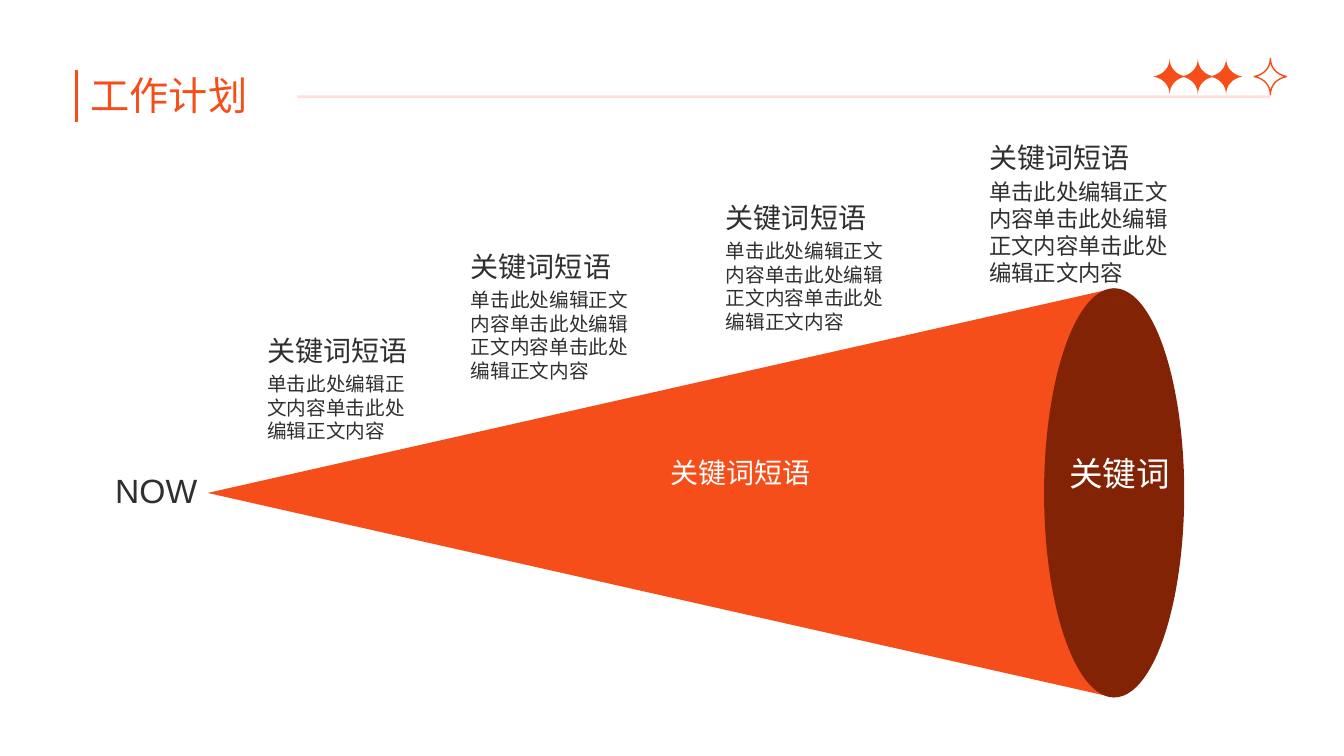
from lxml import etree
from pptx import Presentation
from pptx.dml.color import RGBColor
from pptx.enum.shapes import MSO_CONNECTOR as Connector, MSO_SHAPE as Shape
from pptx.enum.text import MSO_AUTO_SIZE as AutoSize, PP_ALIGN as Align
from pptx.oxml.ns import qn
from pptx.util import Inches, Pt

ORANGE, BROWN, DARK, WHITE = "F54E1A", "822306", "2F2F2F", "FFFFFF"
FONT = "Arial"
PHRASE = "关键词短语"
BODY = "单击此处编辑正文内容"
MILESTONES = [
    (2.65, 3.31, 1.39, 2, 14),
    (4.67, 2.48, 1.56, 3, 14),
    (7.2, 1.99, 1.56, 3, 14),
    (9.81, 1.39, 1.86, 3, 16),
]


def color(value):
    """Turn a hex string into a colour."""
    return RGBColor.from_string(value)


def paint(shape, fill, line=None):
    """Fill a shape and outline it only when a line colour is given."""
    shape.shadow.inherit = False
    shape.fill.solid()
    shape.fill.fore_color.rgb = color(fill)
    if line:
        shape.line.color.rgb = color(line)
        shape.line.width = Pt(1)
    else:
        shape.line.fill.background()


def add_text(slide, box, text, size, ink=DARK, align=Align.LEFT, wrap=True, spacing=None):
    """Add a text box without insets."""
    frame = slide.shapes.add_textbox(*map(Inches, box)).text_frame
    frame.margin_left = frame.margin_right = frame.margin_top = frame.margin_bottom = 0
    frame.word_wrap = wrap
    frame.auto_size = AutoSize.SHAPE_TO_FIT_TEXT
    frame.text = text
    paragraph = frame.paragraphs[0]
    paragraph.alignment = align
    if spacing:
        paragraph.line_spacing = spacing
    font = paragraph.runs[0].font
    font.size, font.name = Pt(size), FONT
    font.color.rgb = color(ink)


def add_line(slide, start, end, width, opacity=100):
    """Draw an orange line with the given opacity in percent."""
    line = slide.shapes.add_connector(Connector.STRAIGHT, *map(Inches, start + end))
    line.line.color.rgb = color(ORANGE)
    line.line.width = Pt(width)
    properties = line._element.spPr
    if opacity < 100:
        tint = properties.find(".//" + qn("a:srgbClr"))
        etree.SubElement(tint, qn("a:alpha")).set("val", str(opacity * 1000))
    etree.SubElement(properties, qn("a:effectLst"))


def curve_segments(shape):
    """Join every three straight segments of an outline into one curve."""
    segments = list(shape._element.iter(qn("a:lnTo")))
    for first in range(0, len(segments), 3):
        curve = etree.Element(qn("a:cubicBezTo"))
        segments[first].addprevious(curve)
        for segment in segments[first:first + 3]:
            curve.append(segment[0])
            segment.getparent().remove(segment)


def add_star(slide, center_x, center_y, fill, line=None):
    """Draw an upright four-pointed star with concave sides around a centre."""
    quarter = [(0.18, 0), (0.09, 0), (0.02, 0.06), (0, 0.16)]
    points = []
    for sign_x, sign_y in [(1, 1), (-1, 1), (-1, -1), (1, -1)]:
        side = quarter if sign_x == sign_y else quarter[::-1]
        points += [(Inches(center_x + sign_x * x), Inches(center_y + sign_y * y))
                   for x, y in side[1:]]
    builder = slide.shapes.build_freeform(*points[-1])
    builder.add_line_segments(points, close=True)
    star = builder.convert_to_shape()
    curve_segments(star)
    star.rotation = 90
    paint(star, fill, line)


def add_header(slide, left, top):
    """Place the title, its rules and the row of stars."""
    add_text(slide, (left + 0.14, top + 0.07, 2.74, 0.43), "工作计划", 28, ORANGE, spacing=0.9)
    star_y = top + 0.07
    for index in range(3):
        add_star(slide, left + 10.84 + 0.28 * index, star_y, ORANGE)
    add_star(slide, left + 11.84, star_y, WHITE, ORANGE)
    add_line(slide, (left, top), (left, top + 0.52), 1.75)
    add_line(slide, (left + 2.19, top + 0.27), (left + 11.84, top + 0.27), 2, 16)


def add_cone(slide, left, top, length, height):
    """Draw the cone lying on its side, with its base."""
    middle_x, middle_y = left + length / 2, top + height / 2
    side = slide.shapes.add_shape(
        Shape.ISOSCELES_TRIANGLE, Inches(middle_x - height / 2),
        Inches(middle_y - length / 2), Inches(height), Inches(length))
    side.rotation = 270
    paint(side, ORANGE)
    base_width = 1.39
    base = slide.shapes.add_shape(
        Shape.OVAL, Inches(left + length - base_width / 2), Inches(top),
        Inches(base_width), Inches(height))
    paint(base, BROWN)


def add_cone_labels(slide, left, middle_y):
    """Place the labels on the cone and at its tip."""
    add_text(slide, (left + 4.59, middle_y - 0.37, 3.15, 0.34), PHRASE, 20, WHITE)
    add_text(slide, (left - 0.98, middle_y - 0.23, 0.94, 0.4), "NOW", 24, align=Align.CENTER)
    add_text(slide, (left + 8.23, middle_y - 0.4, 1.63, 0.4), "关键词", 24, WHITE, Align.CENTER)


def add_milestone(slide, left, top, width, repeats, size):
    """Place a heading with its body text below."""
    body_height = 1.08 if size > 14 else 0.24 * (repeats + 1)
    add_text(slide, (left, top, 1.4, 0.34), PHRASE, 20, wrap=False)
    add_text(slide, (left, top + 0.38, width, body_height), BODY * repeats, size)


def main():
    """Build the slide and save it."""
    presentation = Presentation()
    presentation.slide_width, presentation.slide_height = Inches(13.33), Inches(7.5)
    slide = presentation.slides.add_slide(presentation.slide_layouts[6])
    add_cone(slide, 2.06, 2.86, 8.99, 4.06)
    for milestone in MILESTONES:
        add_milestone(slide, *milestone)
    add_cone_labels(slide, 2.06, 4.89)
    add_header(slide, 0.76, 0.69)
    presentation.save("out.pptx")


if __name__ == "__main__":
    main()
